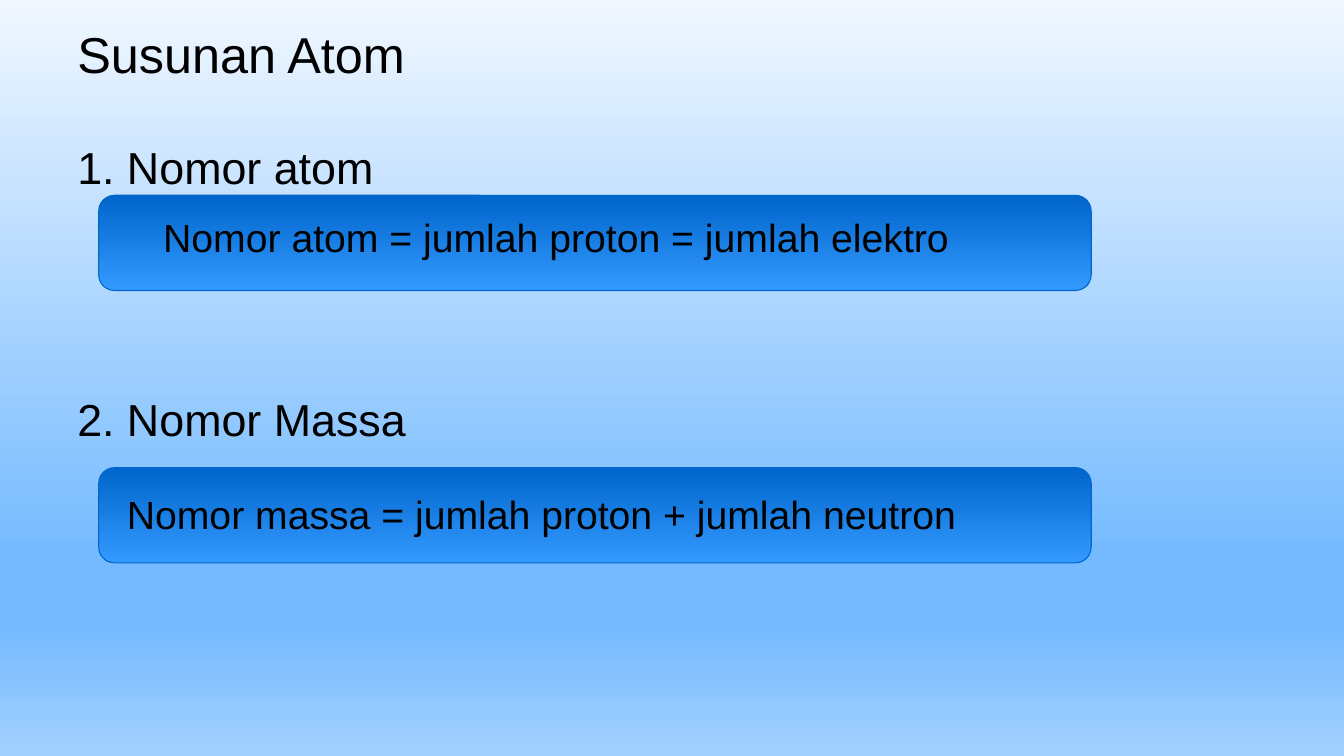
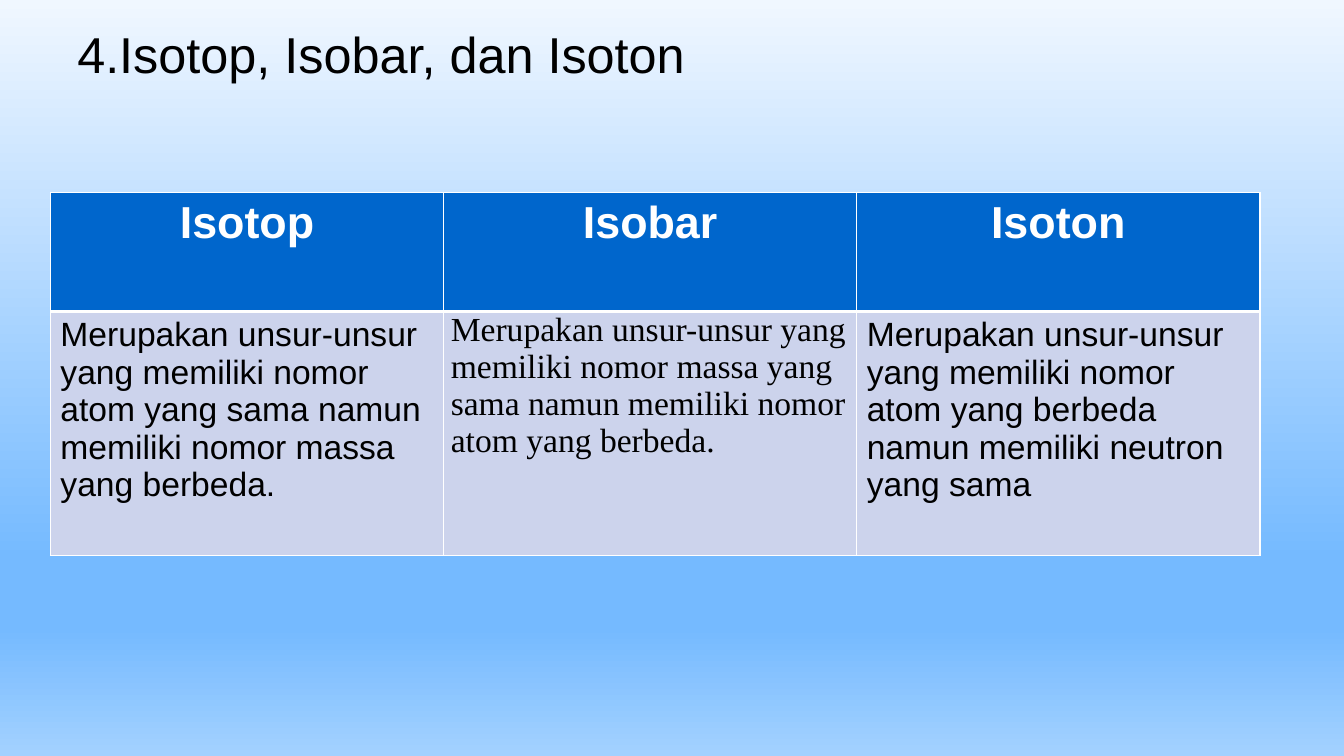
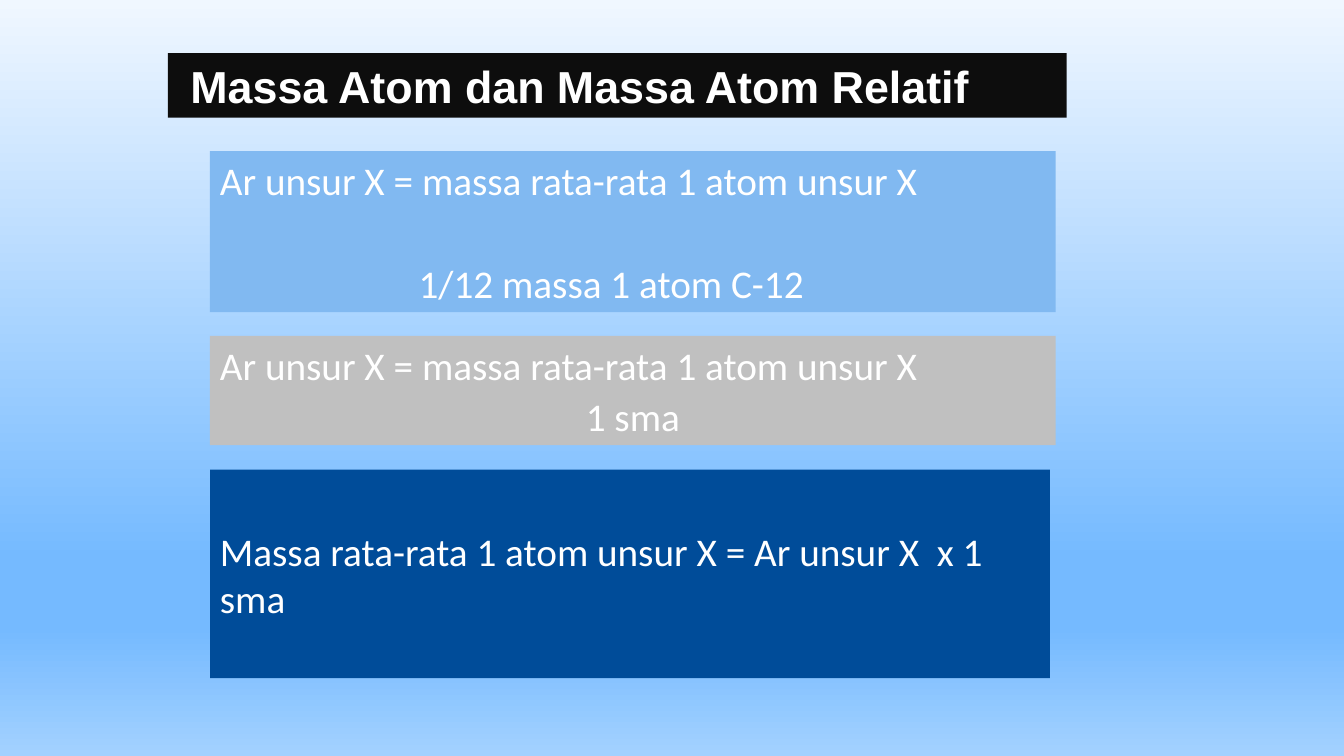
from lxml import etree
from pptx import Presentation
from pptx.dml.color import RGBColor
from pptx.enum.shapes import MSO_CONNECTOR, MSO_SHAPE
from pptx.enum.text import MSO_ANCHOR, MSO_AUTO_SIZE, PP_ALIGN
from pptx.oxml.ns import qn
from pptx.util import Pt

RECTANGLE, ROUNDED = MSO_SHAPE.RECTANGLE, MSO_SHAPE.ROUNDED_RECTANGLE
STRAIGHT = MSO_CONNECTOR.STRAIGHT
LEFT, CENTER = PP_ALIGN.LEFT, PP_ALIGN.CENTER
TOP, MIDDLE = MSO_ANCHOR.TOP, MSO_ANCHOR.MIDDLE
FIXED = MSO_AUTO_SIZE.NONE

BLACK = RGBColor(0x00, 0x00, 0x00)
WHITE = RGBColor(0xFF, 0xFF, 0xFF)
INK = RGBColor(0x0D, 0x0D, 0x0D)
BLUE = RGBColor(0x00, 0x66, 0xCC)
BRIGHT_BLUE = RGBColor(0x33, 0x99, 0xFF)
DEEP_BLUE = RGBColor(0x00, 0x4C, 0x99)
SOFT_BLUE = RGBColor(0x81, 0xB9, 0xF1)
GRAY = RGBColor(0xC0, 0xC0, 0xC0)
LAVENDER = RGBColor(0xCC, 0xD3, 0xEC)
SKY_LIGHT = RGBColor(0xF0, 0xF7, 0xFF)
SKY = RGBColor(0x75, 0xBA, 0xFF)
SKY_PALE = RGBColor(0xA3, 0xD1, 0xFF)

BACKGROUND_STOPS = [(0, SKY_LIGHT), (74, SKY), (83, SKY), (100, SKY_PALE)]
PANEL_STOPS = [(0, BLUE), (100, BRIGHT_BLUE)]

TITLE_AND_BODY, TITLE_ONLY = 1, 5
TITLE_FONT = {"name": "Arial", "size": Pt(36), "bold": False}
LIST_FONT = {"name": "Arial", "size": Pt(32)}
NOTE_FONT = {"name": "Arial", "size": Pt(28)}
HEADING_FONT = {"name": "Arial", "size": Pt(32), "bold": True}
CELL_FONT = {"name": "Arial", "size": Pt(24), "bold": False}
SERIF_CELL_FONT = CELL_FONT | {"name": "Times New Roman"}
FORMULA_FONT = {"name": "Calibri", "size": Pt(28)}


def apply(target, values):
    for name, value in values.items():
        setattr(target, name, value)


def fill_gradient(fill, owner, stops):
    """Fill from top to bottom with (percent, colour) stops."""
    fill.gradient()
    fill.gradient_angle = 270
    stop_list = next(owner.iter(qn("a:gsLst")))
    stop_list.clear()
    for percent, color in stops:
        stop = etree.SubElement(stop_list, qn("a:gs"), pos=str(percent * 1000))
        etree.SubElement(stop, qn("a:srgbClr"), val=str(color))


class Slides:
    """Shared style and the slide being built; all lengths are in points."""

    def __init__(self):
        self.deck = Presentation()
        self.deck.slide_width, self.deck.slide_height = Pt(960), Pt(540)
        master = self.deck.slide_master
        fill_gradient(master.background.fill, master.element, BACKGROUND_STOPS)
        self.page = None

    def add_page(self, layout):
        self.page = self.deck.slides.add_slide(self.deck.slide_layouts[layout])

    def place(self, shape, area):
        apply(shape, dict(zip(("left", "top", "width", "height"), map(Pt, area))))

    def add_text(self, frame, text, font, color, align=LEFT, before=0, new=False):
        para = frame.add_paragraph() if new else frame.paragraphs[0]
        apply(para, {"alignment": align, "space_before": Pt(before)})
        span = para.add_run()
        span.text = text
        apply(span.font, font)
        span.font.color.rgb = color
        return para

    def indent(self, para, amount):
        properties = para._p.get_or_add_pPr()
        properties.set("marL", str(Pt(amount)))
        properties.set("indent", "0")
        return properties

    def title(self, text, area=(48, 15, 864, 46), font=TITLE_FONT, color=BLACK):
        title = self.page.shapes.title
        self.place(title, area)
        apply(title.text_frame, {"vertical_anchor": MIDDLE, "word_wrap": True,
                                 "auto_size": FIXED})
        self.add_text(title.text_frame, text, font, color)
        return title

    def body(self, lines, area, gap):
        body = self.page.placeholders[1]
        self.place(body, area)
        apply(body.text_frame, {"auto_size": FIXED, "margin_top": Pt(7.6)})
        for index, line in enumerate(lines):
            para = self.add_text(body.text_frame, line, LIST_FONT, BLACK,
                                 before=gap if index else 0, new=index > 0)
            etree.SubElement(self.indent(para, 0), qn("a:buNone"))

    def box(self, area, color, shapes=None, anchor=TOP):
        box = (shapes or self.page.shapes).add_shape(RECTANGLE, *map(Pt, area))
        box.shadow.inherit = False
        box.fill.solid()
        box.fill.fore_color.rgb = color
        box.line.fill.background()
        apply(box.text_frame, {"word_wrap": True, "vertical_anchor": anchor})
        return box

    def panel(self, area):
        panel = self.page.shapes.add_shape(ROUNDED, *map(Pt, area))
        panel.shadow.inherit = False
        fill_gradient(panel.fill, panel._element, PANEL_STOPS)
        panel.line.color.rgb = BLUE
        panel.line.width = Pt(0.75)

    def note(self, text, area):
        note = self.page.shapes.add_textbox(*map(Pt, area))
        note.text_frame.word_wrap = True
        self.add_text(note.text_frame, text, NOTE_FONT, BLACK)

    def fraction(self, area, color, rule, numerator, denominator,
                 align=LEFT, indent=0, before=3):
        """A formula box with a fraction bar; rule is (left, right, y)."""
        shapes = self.page.shapes.add_group_shape().shapes
        frame = self.box(area, color, shapes).text_frame
        self.add_text(frame, numerator, FORMULA_FONT, WHITE)
        para = self.add_text(frame, denominator, FORMULA_FONT, WHITE,
                             align, before, True)
        self.indent(para, indent)
        start, end, y = map(Pt, rule)
        line = shapes.add_connector(STRAIGHT, start, y, end, y)
        line.line.color.rgb = WHITE
        line.line.width = Pt(0.5)
        etree.SubElement(line._element.spPr, qn("a:effectLst"))

    def borders(self, cell, **widths):
        properties = cell._tc.get_or_add_tcPr()
        for index, side in enumerate(("lnL", "lnR", "lnT", "lnB")):
            width = Pt(widths.get(side, 1))
            edge = etree.Element(qn("a:" + side), w=str(width))
            fill = etree.SubElement(edge, qn("a:solidFill"))
            etree.SubElement(fill, qn("a:srgbClr"), val=str(WHITE))
            properties.insert(index, edge)

    def table(self, left, top, widths, heights, columns):
        """Columns are (heading, text, text font, cell margins)."""
        table = self.page.shapes.add_table(
            len(heights), len(widths), Pt(left), Pt(top),
            Pt(sum(widths)), Pt(sum(heights))).table
        for column, width in zip(table.columns, widths):
            column.width = Pt(width)
        for row, height in zip(table.rows, heights):
            row.height = Pt(height)
        for index, (heading, text, font, margins) in enumerate(columns):
            head, cell = table.cell(0, index), table.cell(1, index)
            for part, color in ((head, BLUE), (cell, LAVENDER)):
                part.fill.solid()
                part.fill.fore_color.rgb = color
            self.borders(head, lnB=3)
            self.borders(cell, lnT=3)
            self.add_text(head.text_frame, heading, HEADING_FONT, WHITE, CENTER)
            self.add_text(cell.text_frame, text, font, BLACK)
            apply(cell, margins)


def main():
    slides = Slides()

    # Atomic number and mass number
    slides.add_page(TITLE_AND_BODY)
    slides.title("Susunan Atom")
    slides.body(["1. Nomor atom", "2. Nomor Massa"], (48, 92, 864, 390), 142)
    for top, text, area in (
        (139.5, "Nomor atom = jumlah proton = jumlah elektro", (109.5, 148.5, 598, 85)),
        (334, "Nomor massa = jumlah proton + jumlah neutron", (83.5, 347, 697, 85)),
    ):
        slides.panel((70.5, top, 709, 68))
        slides.note(text, area)

    # Comparison table
    slides.add_page(TITLE_ONLY)
    slides.title("4.Isotop, Isobar, dan Isoton")
    tight = {"margin_left": Pt(5), "margin_right": Pt(5),
             "margin_top": 0, "margin_bottom": 0}
    slides.table(36, 137.5, (281, 295, 288), (85, 174.5), [
        ("Isotop", "Merupakan unsur-unsur yang memiliki nomor atom yang sama "
         "namun memiliki nomor massa yang berbeda.", CELL_FONT, {}),
        ("Isobar", "Merupakan unsur-unsur yang memiliki nomor massa yang sama "
         "namun memiliki nomor atom yang berbeda.", SERIF_CELL_FONT, tight),
        ("Isoton", "Merupakan unsur-unsur yang memiliki nomor atom yang berbeda "
         "namun memiliki neutron yang sama", CELL_FONT, {}),
    ])

    # Relative atomic mass formulas
    slides.add_page(TITLE_ONLY)
    title = slides.title("Massa Atom dan Massa Atom Relatif", (120, 38, 642, 46),
                         HEADING_FONT, WHITE)
    title.fill.solid()
    title.fill.fore_color.rgb = INK
    title.text_frame.margin_left = Pt(16)
    numerator = "Ar unsur X = massa rata-rata 1 atom unsur X"
    slides.fraction((150, 108, 604, 115), SOFT_BLUE, (264, 630, 162),
                    numerator, "1/12 massa 1 atom C-12", indent=142, before=40)
    slides.fraction((150, 240, 604, 78), GRAY, (264, 638, 279),
                    numerator, "1 sma", align=CENTER)
    result = slides.box((150, 335.5, 600, 149), DEEP_BLUE, anchor=MIDDLE)
    slides.add_text(result.text_frame,
                    "Massa rata-rata 1 atom unsur X = Ar unsur X  x 1 sma",
                    FORMULA_FONT, WHITE)

    slides.deck.save("out.pptx")


if __name__ == "__main__":
    main()
